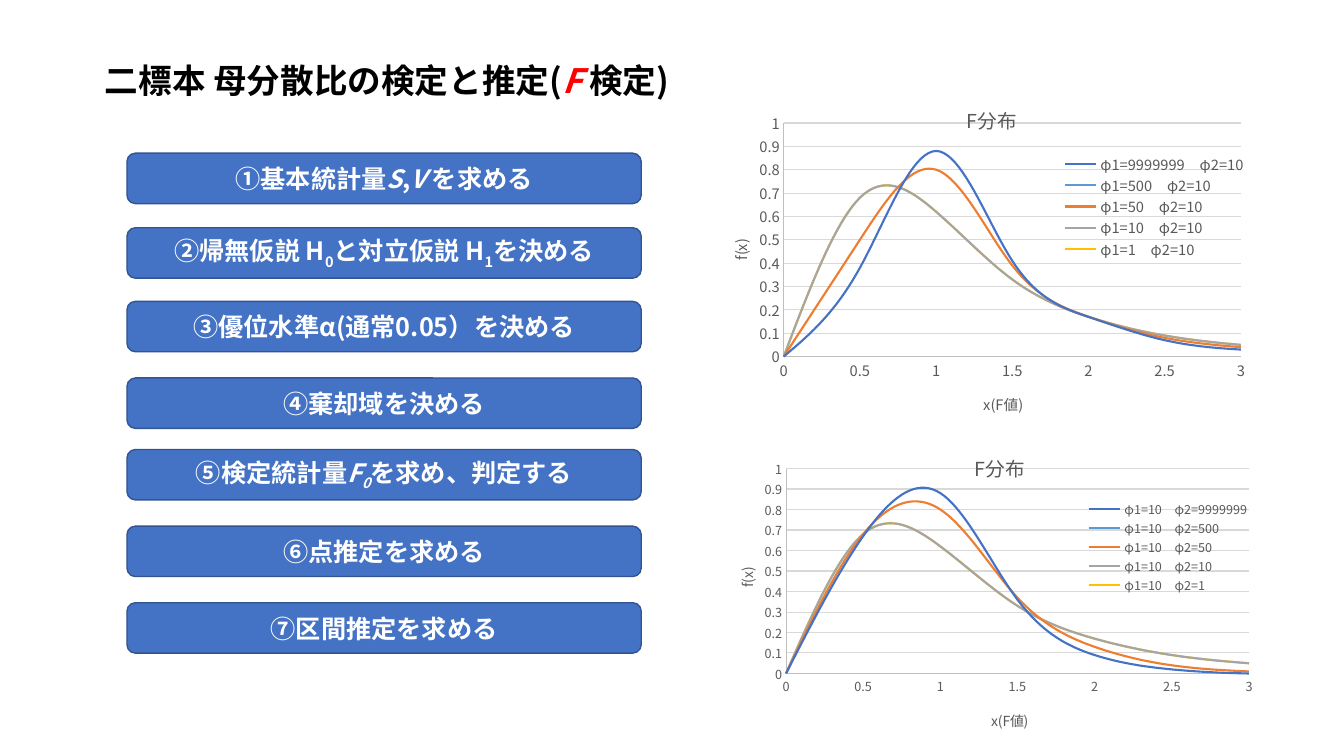
"""Build the F-test slide: seven numbered steps beside two F-distribution charts."""
from lxml import etree
from pptx import Presentation
from pptx.chart.data import XyChartData
from pptx.dml.color import RGBColor
from pptx.enum.chart import XL_CHART_TYPE as ChartType, XL_LEGEND_POSITION as LegendSide
from pptx.enum.chart import XL_TICK_MARK as TickMark
from pptx.enum.shapes import MSO_SHAPE as Preset
from pptx.enum.text import MSO_ANCHOR as Anchor, MSO_AUTO_SIZE as AutoSize, PP_ALIGN as Align
from pptx.oxml.ns import qn
from pptx.util import Pt

PX = 9144
FONT = "Noto Sans CJK JP"
BLACK = RGBColor(0x00, 0x00, 0x00)
WHITE = RGBColor(0xFF, 0xFF, 0xFF)
RED = RGBColor(0xFF, 0x00, 0x00)
BLUE = RGBColor(0x44, 0x72, 0xC4)
BLUE_EDGE = RGBColor(0x32, 0x54, 0x91)
SKY = RGBColor(0x5B, 0x9B, 0xD5)
ORANGE = RGBColor(0xED, 0x7D, 0x31)
SILVER = RGBColor(0xA5, 0xA5, 0xA5)
GOLD = RGBColor(0xFF, 0xC0, 0x00)
LABEL = RGBColor(0x59, 0x59, 0x59)
AXIS = RGBColor(0xBF, 0xBF, 0xBF)
GRID = RGBColor(0xD9, 0xD9, 0xD9)
CURVE_COLORS = [BLUE, SKY, ORANGE, SILVER, GOLD]

STEPS = [
    (152, [("①基本統計量", ""), ("S", "i"), (",", ""), ("V ", "i"), ("を求める", "")]),
    (226, [("②帰無仮説 H", ""), ("0", "sub"), ("と対立仮説 H", ""), ("1", "sub"), ("を決める", "")]),
    (299, [("③優位水準α(通常0.05）を決める", "")]),
    (375, [("④棄却域を決める", "")]),
    (446, [("⑤検定統計量", ""), ("F", "i"), ("0", "i sub"), ("を求め、判定する", "")]),
    (522, [("⑥点推定を求める", "")]),
    (598, [("⑦区間推定を求める", "")]),
]

F_10_10 = [0, 0.68, 0.62, 0.33, 0.17, 0.09, 0.05, 0.03, 0.02, 0.01, 0.01]
UPPER_CURVES = [
    ("φ1=9999999　φ2=10", [0, 0.38, 0.88, 0.41, 0.17, 0.07, 0.03, 0.02, 0.01, 0.01, 0]),
    ("φ1=500　φ2=10", [0]),
    ("φ1=50　φ2=10", [0, 0.5, 0.8, 0.39, 0.17, 0.08, 0.04, 0.02, 0.01, 0.01, 0]),
    ("φ1=10　φ2=10", F_10_10),
    ("φ1=1　φ2=10", F_10_10),
]
LOWER_CURVES = [
    ("φ1=10　φ2=9999999", [0, 0.67, 0.88, 0.36, 0.09, 0.02, 0, 0, 0, 0, 0]),
    ("φ1=10　φ2=500", [0]),
    ("φ1=10　φ2=50", [0, 0.68, 0.8, 0.37, 0.13, 0.04, 0.01, 0, 0, 0, 0]),
    ("φ1=10　φ2=10", F_10_10),
    ("φ1=10　φ2=1", F_10_10),
]


def emu(*lengths):
    """Turn px lengths into EMU."""
    return [length * PX for length in lengths]


def style_font(font, size, color, bold=False):
    """Set the face, size, colour and weight of a font."""
    font.name = FONT
    font.size = Pt(size)
    font.bold = bold
    font.color.rgb = color


def add_span(para, text, size, color, bold=True, style=""):
    """Add one run, optionally italic or subscript."""
    span = para.add_run()
    span.text = text
    style_font(span.font, size, color, bold)
    span.font.italic = "i" in style.split()
    if "sub" in style:
        span._r.get_or_add_rPr().set("baseline", "-25000")


def use_east_asian_font(root):
    """Give every Latin font setting its East Asian twin."""
    for latin in list(root.iter(qn("a:latin"))):
        twin = etree.Element(qn("a:ea"))
        twin.set("typeface", FONT)
        latin.addnext(twin)


def place_chart_part(element, follower, fractions, inner=False):
    """Pin a chart part at fractions of the chart, ahead of its follower tag."""
    for old in element.findall(qn("c:layout")):
        element.remove(old)
    layout = etree.Element(qn("c:layout"))
    element.find(qn(follower)).addprevious(layout)
    manual = etree.SubElement(layout, qn("c:manualLayout"))
    settings = [("layoutTarget", "inner")] if inner else []
    settings += [("xMode", "edge"), ("yMode", "edge")]
    settings += zip("xywh", fractions)
    for tag, value in settings:
        etree.SubElement(manual, qn(f"c:{tag}")).set("val", str(value))


def write_chart_title(title, text, size, spot):
    """Write and place the title of a chart or an axis."""
    add_span(title.text_frame.paragraphs[0], text, size, LABEL, bold=False)
    place_chart_part(title.element, "c:overlay", spot)


def style_axis(axis, top, step, size):
    """Set the scale, line and labels of an axis."""
    axis.minimum_scale, axis.maximum_scale, axis.major_unit = 0, top, step
    axis.major_tick_mark = axis.minor_tick_mark = TickMark.NONE
    axis.format.line.color.rgb = AXIS
    axis.format.line.width = Pt(0.75)
    axis.tick_labels.number_format = "General"
    axis.tick_labels.number_format_is_linked = False
    style_font(axis.tick_labels.font, size, LABEL)


def add_f_chart(page, box, curves, size, axis_title_size, plot, legend, spots):
    """Add a smooth scatter chart of F-distribution densities."""
    data = XyChartData()
    for name, values in curves:
        series = data.add_series(name)
        start = 5 if len(values) == 1 else 0
        for index, value in enumerate(values):
            series.add_data_point(start + index / 2, value)
    kind = ChartType.XY_SCATTER_SMOOTH_NO_MARKERS
    chart = page.shapes.add_chart(kind, *emu(*box), data).chart
    style_font(chart.font, size, BLACK)
    chart.plots[0].vary_by_categories = False
    for series, color in zip(chart.plots[0].series, CURVE_COLORS):
        series.format.line.color.rgb = color
        series.format.line.width = Pt(1.5)
    for smooth in chart.element.iter(qn("c:smooth")):
        smooth.set("val", "1")

    x_axis, y_axis = chart.category_axis, chart.value_axis
    style_axis(x_axis, 3, 0.5, size)
    style_axis(y_axis, 1, 0.1, size)
    x_axis.has_major_gridlines = False
    y_axis.has_major_gridlines = True
    y_axis.major_gridlines.format.line.color.rgb = GRID
    y_axis.major_gridlines.format.line.width = Pt(0.75)

    chart.has_title = True
    title_spot, x_spot, y_spot = spots
    write_chart_title(chart.chart_title, "F分布", 14, title_spot)
    write_chart_title(x_axis.axis_title, "x(F値)", axis_title_size, x_spot)
    write_chart_title(y_axis.axis_title, "f(x)", axis_title_size, y_spot)
    for body in y_axis.axis_title.element.iter(qn("a:bodyPr")):
        body.set("rot", "-5400000")
        body.set("vert", "horz")

    chart.has_legend = True
    chart.legend.position = LegendSide.RIGHT
    chart.legend.include_in_layout = False
    style_font(chart.legend.font, size, LABEL)
    legend_area = next(chart.element.iter(qn("c:legend")))
    place_chart_part(legend_area, "c:overlay", legend)
    plot_area = next(chart.element.iter(qn("c:plotArea")))
    place_chart_part(plot_area, "c:scatterChart", plot, inner=True)
    use_east_asian_font(chart.element)


def write_title(page):
    """Place and write the slide title."""
    title = page.shapes.title
    title.left, title.top, title.width, title.height = emu(94, 54, 684, 50)
    frame = title.text_frame
    frame.word_wrap = True
    frame.auto_size = AutoSize.SHAPE_TO_FIT_TEXT
    frame.vertical_anchor = Anchor.TOP
    para = frame.paragraphs[0]
    para.alignment = Align.LEFT
    add_span(para, "二標本 母分散比の検定と推定(", 24, BLACK)
    add_span(para, "F ", 24, RED, style="i")
    add_span(para, "検定)", 24, BLACK)


def add_step(page, top, spans):
    """Add one rounded step box."""
    box = page.shapes.add_shape(Preset.FLOWCHART_ALTERNATE_PROCESS, *emu(126, top, 510, 50))
    box.shadow.inherit = False
    box.fill.solid()
    box.fill.fore_color.rgb = BLUE
    box.line.color.rgb = BLUE_EDGE
    box.line.width = Pt(1)
    box.text_frame.vertical_anchor = Anchor.MIDDLE
    para = box.text_frame.paragraphs[0]
    para.alignment = Align.CENTER
    for text, style in spans:
        add_span(para, text, 18, WHITE, style=style)


def main():
    """Build and save the deck."""
    deck = Presentation()
    deck.slide_width, deck.slide_height = emu(1333, 750)
    page = deck.slides.add_slide(deck.slide_layouts[5])
    write_title(page)
    for top, spans in STEPS:
        add_step(page, top, spans)
    use_east_asian_font(page.element)
    add_f_chart(page, (697, 79, 574, 337), UPPER_CURVES, 10.5, 10.5, (0.14, 0.13, 0.79, 0.7),
                (0.61, 0.22, 0.34, 0.32), [(0.45, 0.06), (0.48, 0.93), (0.04, 0.47)])
    add_f_chart(page, (705, 426, 574, 303), LOWER_CURVES, 9, 10, (0.13, 0.13, 0.8, 0.68),
                (0.63, 0.23, 0.32, 0.32), [(0.45, 0.06), (0.48, 0.92), (0.04, 0.45)])
    deck.save("out.pptx")


if __name__ == "__main__":
    main()
